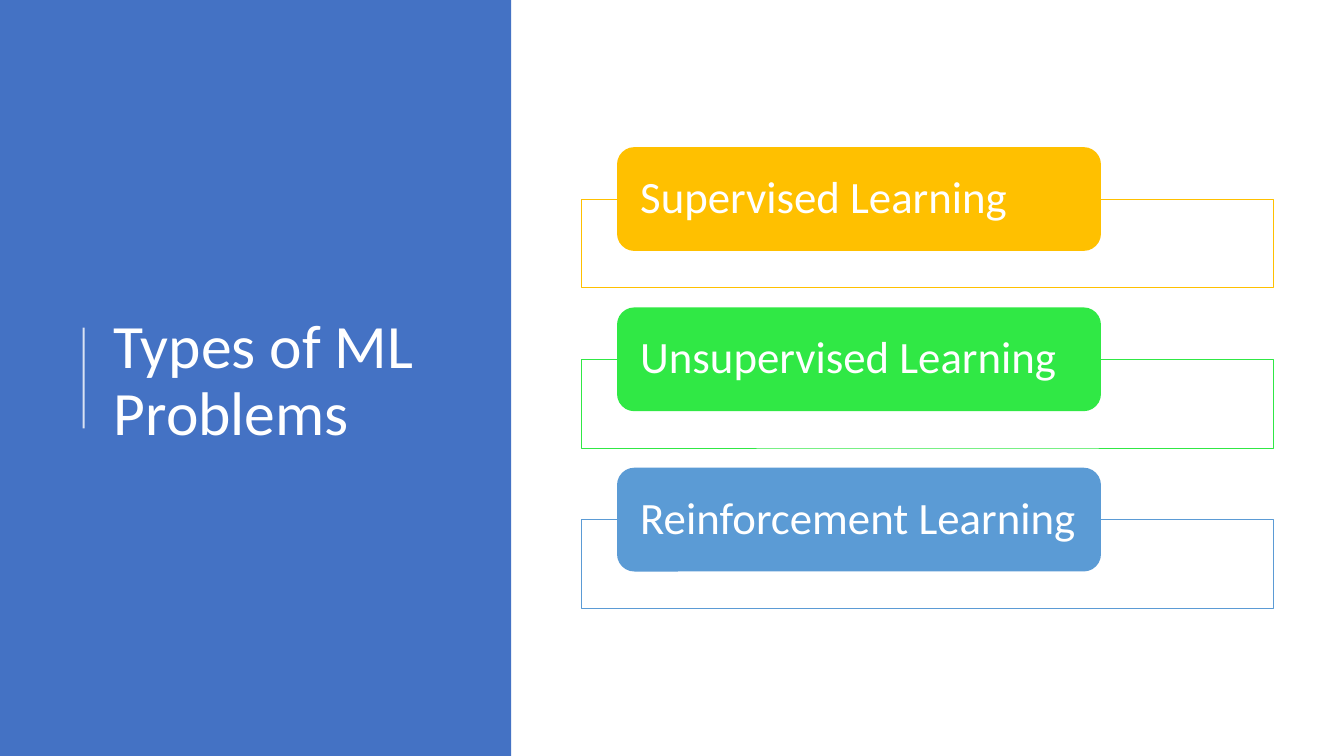
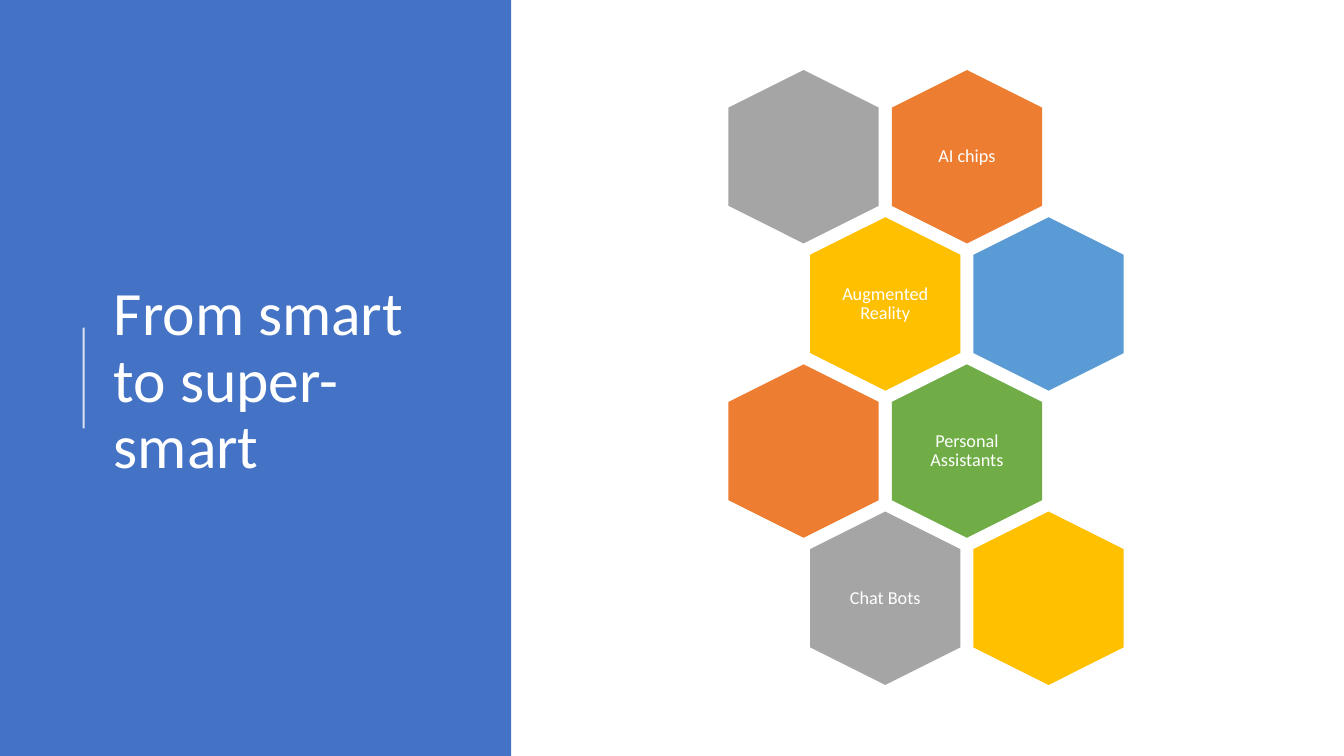
from lxml.etree import SubElement
from pptx import Presentation
from pptx.dml.color import RGBColor
from pptx.enum.shapes import MSO_CONNECTOR, MSO_SHAPE
from pptx.enum.text import MSO_ANCHOR, PP_ALIGN
from pptx.oxml.ns import qn
from pptx.util import Inches, Pt

WHITE = RGBColor(0xFF, 0xFF, 0xFF)
BLUE = RGBColor(0x44, 0x72, 0xC4)
LIGHT_BLUE = RGBColor(0x5B, 0x9B, 0xD5)
GOLD = RGBColor(0xFF, 0xC0, 0x00)
LIME = RGBColor(0x30, 0xE8, 0x45)
GREEN = RGBColor(0x70, 0xAD, 0x47)
ORANGE = RGBColor(0xED, 0x7D, 0x31)
GRAY = RGBColor(0xA5, 0xA5, 0xA5)

TITLE_FORMAT = {"margin_left": Inches(0.1), "margin_right": Inches(0.1)}
BAR_FORMAT = {"margin_left": Inches(0.18), "margin_right": Inches(0.1),
              "margin_top": 0, "margin_bottom": 0}
HEXAGON_FORMAT = {f"margin_{side}": Inches(0.05)
                  for side in ("left", "right", "top", "bottom")}


def add_block(slide, kind, left, top, width, height, color):
    block = slide.shapes.add_shape(
        kind, Inches(left), Inches(top), Inches(width), Inches(height))
    block.shadow.inherit = False
    block.fill.solid()
    block.fill.fore_color.rgb = color
    block.line.fill.background()
    return block


def write(shape, text, size, frame_format, align=PP_ALIGN.LEFT):
    frame = shape.text_frame
    frame.word_wrap = True
    frame.vertical_anchor = MSO_ANCHOR.MIDDLE
    for name, value in frame_format.items():
        setattr(frame, name, value)
    paragraph = frame.paragraphs[0]
    paragraph.alignment = align
    paragraph.line_spacing = 0.9
    run = paragraph.add_run()
    run.text = text
    for name, value in {"size": Pt(size), "name": "Calibri"}.items():
        setattr(run.font, name, value)
    run.font.color.rgb = WHITE


prs = Presentation()
prs.slide_width = Inches(13.33)
prs.slide_height = Inches(7.5)

# Shared title panel with its divider
slides = []
for title in ("Types of ML Problems", "From smart to super-smart"):
    slide = prs.slides.add_slide(prs.slide_layouts[6])
    slides.append(slide)
    add_block(slide, MSO_SHAPE.RECTANGLE, 0, 0, 5.07, 7.5, BLUE)
    divider = slide.shapes.add_connector(
        MSO_CONNECTOR.STRAIGHT, Inches(0.83), Inches(4.25), Inches(0.83), Inches(3.25))
    divider.line.width = Pt(1.5)
    divider.line.color.rgb = WHITE
    divider_color = next(divider.element.iter(qn("a:srgbClr")))
    SubElement(divider_color, qn("a:alpha"), val="80000")
    SubElement(divider.element.spPr, qn("a:effectLst"))
    heading = slide.shapes.add_textbox(
        Inches(1.03), Inches(0.78), Inches(3.69), Inches(6.02))
    write(heading, title, 44, TITLE_FORMAT)

problems_slide, smart_slide = slides

# Learning types: a bar over the upper edge of each frame
BAR_TOP, BAR_PITCH, BAR_HEIGHT = 1.46, 1.59, 1.03
learning_types = [
    ("Supervised Learning", GOLD),
    ("Unsupervised Learning", LIME),
    ("Reinforcement Learning", LIGHT_BLUE),
]
for row, (learning_type, color) in enumerate(learning_types):
    top = BAR_TOP + row * BAR_PITCH
    frame = add_block(problems_slide, MSO_SHAPE.RECTANGLE,
                      5.77, top + BAR_HEIGHT / 2, 6.86, 0.88, WHITE)
    frame_color = next(frame.element.iter(qn("a:srgbClr")))
    SubElement(frame_color, qn("a:alpha"), val="90000")
    frame.line.color.rgb = color
    frame.line.width = Pt(0.5)
    bar = add_block(problems_slide, MSO_SHAPE.ROUNDED_RECTANGLE,
                    6.12, top, 4.8, BAR_HEIGHT, color)
    write(bar, learning_type, 32, BAR_FORMAT)

# Honeycomb: odd rows are shifted by half a column
HEX_LEFT, HEX_TOP, HEX_WIDTH, HEX_HEIGHT = 7.11, 0.81, 1.72, 1.49
COLUMN_PITCH, ROW_PITCH = 1.62, 1.46
LABEL_WIDTH, LABEL_HEIGHT = 1.03, 1.18
honeycomb = [
    [("", GRAY), ("AI chips", ORANGE)],
    [("Augmented Reality", GOLD), ("", LIGHT_BLUE)],
    [("", ORANGE), ("Personal Assistants", GREEN)],
    [("Chat Bots", GRAY), ("", GOLD)],
]
for row, cells in enumerate(honeycomb):
    top = HEX_TOP + row * ROW_PITCH
    for column, (topic, color) in enumerate(cells):
        left = HEX_LEFT + (column + row % 2 / 2) * COLUMN_PITCH
        hexagon = add_block(smart_slide, MSO_SHAPE.HEXAGON,
                            left, top, HEX_WIDTH, HEX_HEIGHT, color)
        hexagon.rotation = 90
        if topic:
            label = smart_slide.shapes.add_textbox(
                Inches(left + (HEX_WIDTH - LABEL_WIDTH) / 2),
                Inches(top + (HEX_HEIGHT - LABEL_HEIGHT) / 2),
                Inches(LABEL_WIDTH), Inches(LABEL_HEIGHT))
            write(label, topic, 13, HEXAGON_FORMAT, PP_ALIGN.CENTER)

prs.save("out.pptx")
